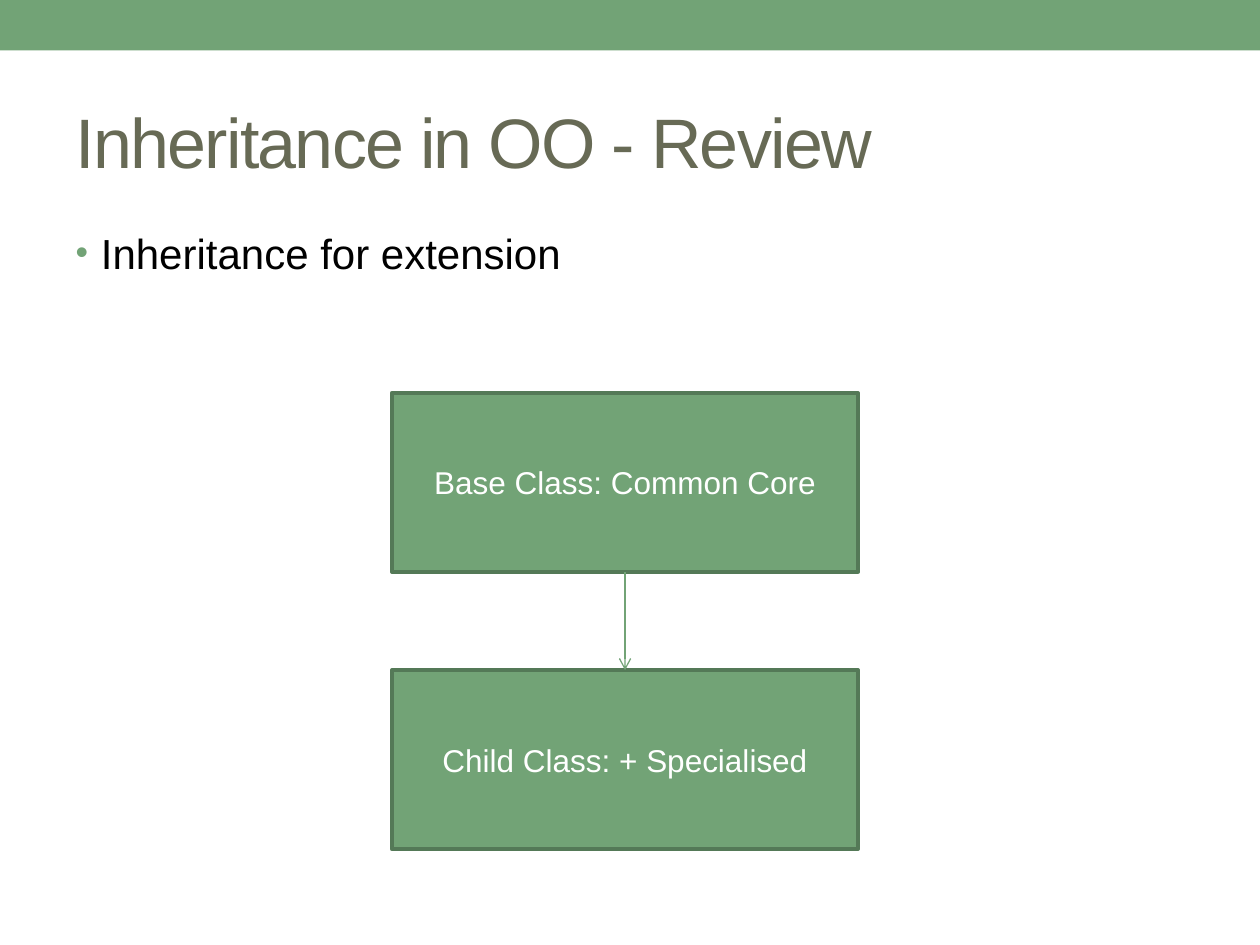
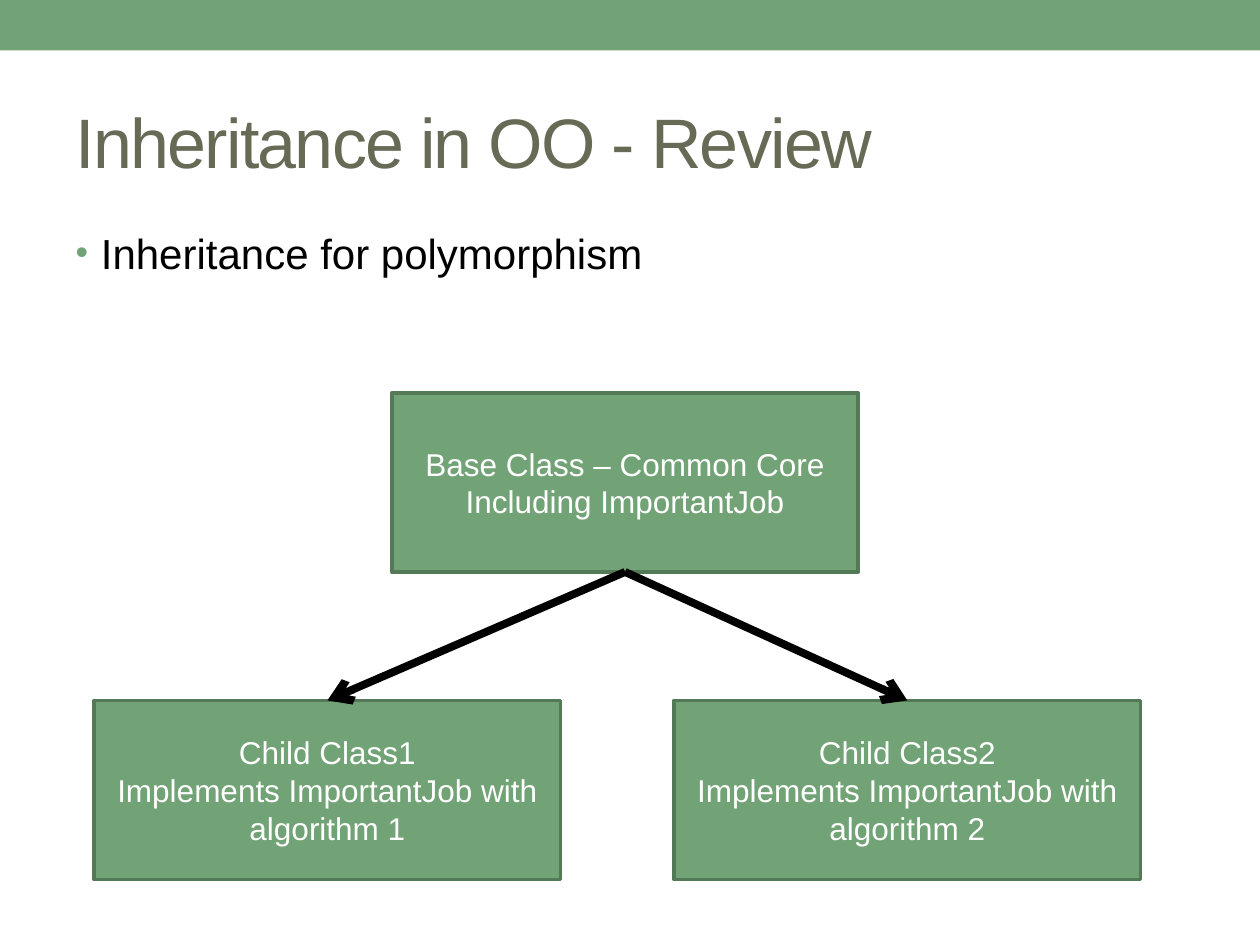
from dataclasses import dataclass
from typing import Any

import pptx
import pptx.dml.color
import pptx.enum.shapes
import pptx.enum.text
import pptx.oxml
import pptx.oxml.ns
import pptx.util
from pptx.util import Cm

COLOURS = {
    "green": "72A376",
    "dark_green": "547957",
    "olive": "676A55",
    "black": "000000",
    "white": "FFFFFF",
}
FONT = "Arial"
SLIDE_WIDTH, SLIDE_HEIGHT = Cm(25.4), Cm(19.05)
BAND_HEIGHT = Cm(1.02)
MARGIN = Cm(1.27)
BOX_WIDTH, BOX_HEIGHT = Cm(9.4), Cm(3.61)
BULLET_INDENT = Cm(0.51)

TITLE_PLACE = {"left": MARGIN, "top": Cm(1.47),
               "width": SLIDE_WIDTH - 2 * MARGIN, "height": Cm(2.74)}
BODY_PLACE = {"left": MARGIN, "top": Cm(4.45),
              "width": SLIDE_WIDTH - 2 * MARGIN, "height": Cm(13.54)}
ANCHOR = pptx.enum.text.MSO_ANCHOR
ALIGN = pptx.enum.text.PP_ALIGN
FRAME_FORMAT = {"word_wrap": True, "auto_size": pptx.enum.text.MSO_AUTO_SIZE.NONE}


@dataclass(frozen=True)
class ClassBox:
    lines: tuple[str, ...]
    left: float
    top: float


@dataclass(frozen=True)
class ArrowStyle:
    colour: str
    width: float


@dataclass(frozen=True)
class Diagram:
    bullet: str
    base: ClassBox
    children: tuple[ClassBox, ...]
    arrow: ArrowStyle


TITLE = "Inheritance in OO - Review"
BASE_LEFT, BASE_TOP = 7.9, 7.92
CHILD_LEFTS = (1.9, 13.59)

DIAGRAMS = (
    Diagram(
        "Inheritance for extension",
        ClassBox(("Base Class: Common Core",), BASE_LEFT, BASE_TOP),
        (ClassBox(("Child Class: + Specialised",), BASE_LEFT, 13.51),),
        ArrowStyle("green", 0.75),
    ),
    Diagram(
        "Inheritance for polymorphism",
        ClassBox(("Base Class – Common Core", "Including ImportantJob"), BASE_LEFT, BASE_TOP),
        tuple(
            ClassBox((f"Child Class{number}",
                      f"Implements ImportantJob with algorithm {number}"), left, 14.12)
            for number, left in enumerate(CHILD_LEFTS, start=1)
        ),
        ArrowStyle("black", 4.5),
    ),
)


def colour(name: str) -> pptx.dml.color.RGBColor:
    return pptx.dml.color.RGBColor.from_string(COLOURS[name])


def apply_format(target: Any, values: dict[str, Any]) -> None:
    for name, value in values.items():
        setattr(target, name, value)


def add_xml(parent: Any, tag: str, **attributes: str) -> Any:
    """Append a DrawingML element such as "a:buChar" to parent."""
    element = pptx.oxml.parse_xml(f"<{tag} {pptx.oxml.ns.nsdecls('a')}/>")
    for name, value in attributes.items():
        element.set(name, value)
    parent.append(element)
    return element


def write_text(shape: Any, lines: tuple[str, ...], size: float, colour_name: str,
               alignment: Any, anchor: Any) -> None:
    frame = shape.text_frame
    frame.text = "\n".join(lines)
    apply_format(frame, {**FRAME_FORMAT, "vertical_anchor": anchor})
    for paragraph in frame.paragraphs:
        paragraph.alignment = alignment
        for run in paragraph.runs:
            apply_format(run.font, {"name": FONT, "size": pptx.util.Pt(size)})
            run.font.color.rgb = colour(colour_name)


def add_rectangle(slide: Any, left: int, top: int, width: int, height: int) -> Any:
    rectangle = slide.shapes.add_shape(
        pptx.enum.shapes.MSO_SHAPE.RECTANGLE, left, top, width, height)
    rectangle.shadow.inherit = False
    rectangle.fill.solid()
    rectangle.fill.fore_color.rgb = colour("green")
    return rectangle


def add_band(slide: Any) -> None:
    band = add_rectangle(slide, 0, 0, SLIDE_WIDTH, BAND_HEIGHT)
    band.line.fill.background()


def fill_title(slide: Any) -> None:
    title = slide.shapes.title
    apply_format(title, TITLE_PLACE)
    write_text(title, (TITLE,), 40, "olive", ALIGN.LEFT, ANCHOR.MIDDLE)
    run = title.text_frame.paragraphs[0].runs[0]
    run.font._element.set("spc", "-100")


def fill_body(slide: Any, bullet: str) -> None:
    body = slide.placeholders[1]
    apply_format(body, BODY_PLACE)
    write_text(body, (bullet,), 24, "black", ALIGN.LEFT, ANCHOR.TOP)
    properties = body.text_frame.paragraphs[0]._p.get_or_add_pPr()
    properties.set("marL", str(BULLET_INDENT))
    properties.set("indent", str(-BULLET_INDENT))
    bullet_colour = add_xml(properties, "a:buClr")
    add_xml(bullet_colour, "a:srgbClr", val=COLOURS["green"])
    add_xml(properties, "a:buSzPct", val="85000")
    add_xml(properties, "a:buFont", typeface=FONT)
    add_xml(properties, "a:buChar", char="•")


def add_class_box(slide: Any, box: ClassBox) -> Any:
    rectangle = add_rectangle(slide, Cm(box.left), Cm(box.top), BOX_WIDTH, BOX_HEIGHT)
    rectangle.line.color.rgb = colour("dark_green")
    rectangle.line.width = pptx.util.Pt(2.08)
    write_text(rectangle, box.lines, 18, "white", ALIGN.CENTER, ANCHOR.MIDDLE)
    return rectangle


def add_arrow(slide: Any, base: Any, child: Any, style: ArrowStyle) -> None:
    """Join the bottom of base to the top of child."""
    connector = slide.shapes.add_connector(
        pptx.enum.shapes.MSO_CONNECTOR.STRAIGHT, 0, 0, 0, 0)
    connector.begin_connect(base, 2)
    connector.end_connect(child, 0)
    connector.line.color.rgb = colour(style.colour)
    connector.line.width = pptx.util.Pt(style.width)
    properties = connector._element.spPr
    add_xml(properties.find(pptx.oxml.ns.qn("a:ln")), "a:tailEnd", type="arrow")
    add_xml(properties, "a:effectLst")


def add_diagram_slide(presentation: Any, diagram: Diagram) -> None:
    slide = presentation.slides.add_slide(presentation.slide_layouts[1])
    add_band(slide)
    fill_title(slide)
    fill_body(slide, diagram.bullet)
    base = add_class_box(slide, diagram.base)
    for child_box in diagram.children:
        child = add_class_box(slide, child_box)
        add_arrow(slide, base, child, diagram.arrow)


def main() -> None:
    presentation = pptx.Presentation()
    apply_format(presentation, {"slide_width": SLIDE_WIDTH, "slide_height": SLIDE_HEIGHT})
    for diagram in DIAGRAMS:
        add_diagram_slide(presentation, diagram)
    presentation.save("out.pptx")


if __name__ == "__main__":
    main()
